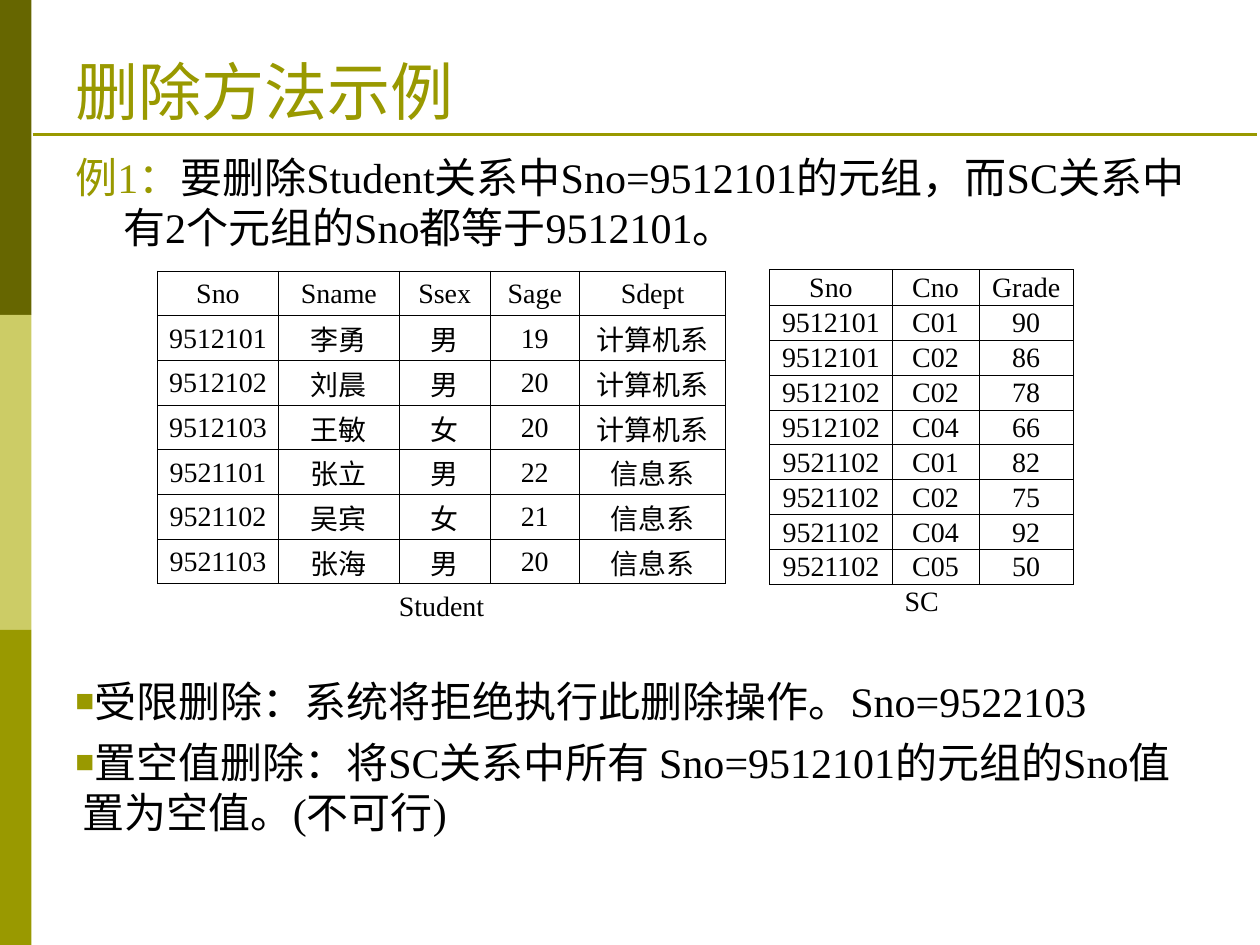
from dataclasses import dataclass

from lxml.etree import SubElement as Sub
from pptx import Presentation
from pptx.dml.color import RGBColor as RGB
from pptx.enum.shapes import MSO_CONNECTOR as Connector, MSO_SHAPE as Shape
from pptx.enum.text import MSO_ANCHOR as Anchor, PP_ALIGN as Align
from pptx.oxml.ns import qn
from pptx.util import Inches, Pt


@dataclass(frozen=True)
class Theme:
    font: str = "Times New Roman"
    olive: str = "999900"
    dark: str = "666600"
    pale: str = "CCCC66"
    ink: str = "000000"
    title: int = 36
    body: int = 24
    cell: int = 16


theme = Theme()
COLS, ROWS = 40, 30  # the slide as a grid of quarter-inch squares


def grid(*squares):
    return [Inches(count * 10 / COLS) for count in squares]


def add_run(paragraph, words, size, color):
    run = paragraph.add_run()
    run.text = words
    run.font.name = theme.font
    run.font.size = Pt(size)
    run.font.color.rgb = RGB.from_string(color)


deck = Presentation()
deck.slide_width, deck.slide_height = grid(COLS, ROWS)
slide = deck.slides.add_slide(deck.slide_layouts[6])
shapes = slide.shapes

# Side strips, each a third of the slide's height
strip_rows = ROWS / 3
for place, color in enumerate((theme.dark, theme.pale, theme.olive)):
    strip = shapes.add_shape(Shape.RECTANGLE, *grid(0, place * strip_rows, 1, strip_rows))
    strip.shadow.inherit = False
    strip.fill.solid()
    strip.fill.fore_color.rgb = RGB.from_string(color)
    strip.line.fill.background()

# Rule under the title
rule = shapes.add_connector(Connector.STRAIGHT, *grid(1.04, 4.28, 39.92, 4.28))
rule.line.color.rgb = RGB.from_string(theme.olive)
rule.line.width = Pt(1.5)
Sub(rule._element.spPr, qn("a:effectLst"))

# Title
heading = shapes.add_textbox(*grid(2, 1.2, 36, 3.08)).text_frame
heading.word_wrap = True
heading.vertical_anchor = Anchor.BOTTOM
add_run(heading.paragraphs[0], "删除方法示例", theme.title, theme.olive)

# Example, then the two ways of deleting below the tables
body = shapes.add_textbox(*grid(2, 4.6, 36, 22.68)).text_frame
body.word_wrap = True
example = body.paragraphs[0]
example_props = example._p.get_or_add_pPr()
example_props.set("marL", str(Inches(0.38)))
example_props.set("indent", str(Inches(-0.38)))
add_run(example, "例1：", theme.body, theme.olive)
add_run(example, "要删除Student关系中Sno=9512101的元组，而SC关系中有2个元组的Sno都等于9512101。",
        theme.body, theme.ink)

methods = [
    ("受限删除：系统将拒绝执行此删除操作。Sno=9522103", 242),
    ("置空值删除：将SC关系中所有 Sno=9512101的元组的Sno值置为空值。(不可行)", 6),
]
for words, gap in methods:
    method = body.add_paragraph()
    method.level = 1
    method.space_before = Pt(gap)
    props = method._p.get_or_add_pPr()
    props.set("marL", str(Inches(0.06)))
    props.set("indent", str(Inches(-0.38)))
    Sub(Sub(props, qn("a:buClr")), qn("a:srgbClr"), val=theme.olive)
    Sub(props, qn("a:buSzPct"), val="75000")
    Sub(props, qn("a:buFont"), typeface=theme.font)
    Sub(props, qn("a:buChar"), char="■")
    add_run(method, words, theme.body, theme.ink)

# Relations: name, left, top, column widths, row heights, records
student = [
    ("Sno", "Sname", "Ssex", "Sage", "Sdept"),
    ("9512101", "李勇", "男", "19", "计算机系"),
    ("9512102", "刘晨", "男", "20", "计算机系"),
    ("9512103", "王敏", "女", "20", "计算机系"),
    ("9521101", "张立", "男", "22", "信息系"),
    ("9521102", "吴宾", "女", "21", "信息系"),
    ("9521103", "张海", "男", "20", "信息系"),
]
courses = [
    ("Sno", "Cno", "Grade"),
    ("9512101", "C01", "90"),
    ("9512101", "C02", "86"),
    ("9512102", "C02", "78"),
    ("9512102", "C04", "66"),
    ("9521102", "C01", "82"),
    ("9521102", "C02", "75"),
    ("9521102", "C04", "92"),
    ("9521102", "C05", "50"),
]
relations = [
    ("Student", 5, 8.6, (3.84, 3.84, 2.88, 2.84, 4.64), [1.42] * 8, student),
    ("SC", 24.44, 8.56, (3.88, 2.76, 3), [1.12] * 2 + [1.03] * 8, courses),
]
for name, left, top, widths, heights, records in relations:
    table = shapes.add_table(len(heights), len(widths),
                             *grid(left, top, sum(widths), sum(heights))).table
    table.first_row = table.horz_banding = False
    for column, width in zip(table.columns, grid(*widths)):
        column.width = width
    for row, height in zip(table.rows, grid(*heights)):
        row.height = height

    # The last row is the caption, merged and open but for its top edge
    caption_row = len(records)
    table.cell(caption_row, 0).merge(table.cell(caption_row, len(widths) - 1))
    caption = (name,) + ("",) * (len(widths) - 1)
    for r, record in enumerate(records + [caption]):
        for c, value in enumerate(record):
            cell = table.cell(r, c)
            cell.vertical_anchor = Anchor.MIDDLE
            cell.margin_left = cell.margin_right = cell.margin_top = Inches(0.01)
            cell.margin_bottom = 0
            for side in ("lnL", "lnR", "lnT", "lnB"):
                edge = Sub(cell._tc.get_or_add_tcPr(), qn("a:" + side), w=str(Pt(0.5)))
                if r < caption_row or side == "lnT":
                    Sub(Sub(edge, qn("a:solidFill")), qn("a:srgbClr"), val=theme.ink)
                else:
                    Sub(edge, qn("a:noFill"))
            cell.fill.background()
            if value:
                entry = cell.text_frame.paragraphs[0]
                entry.alignment = Align.CENTER
                add_run(entry, value, theme.cell, theme.ink)

deck.save("out.pptx")
